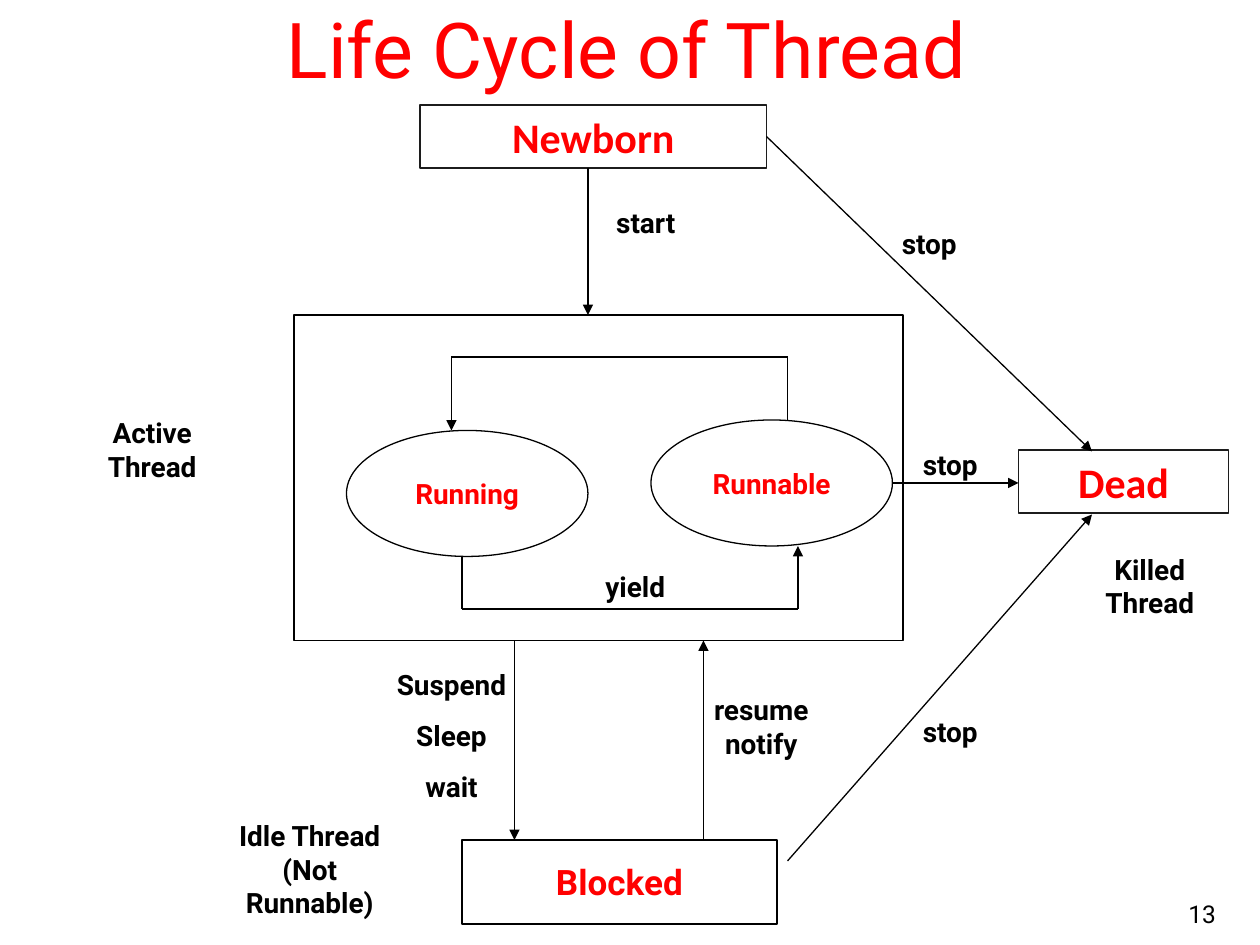
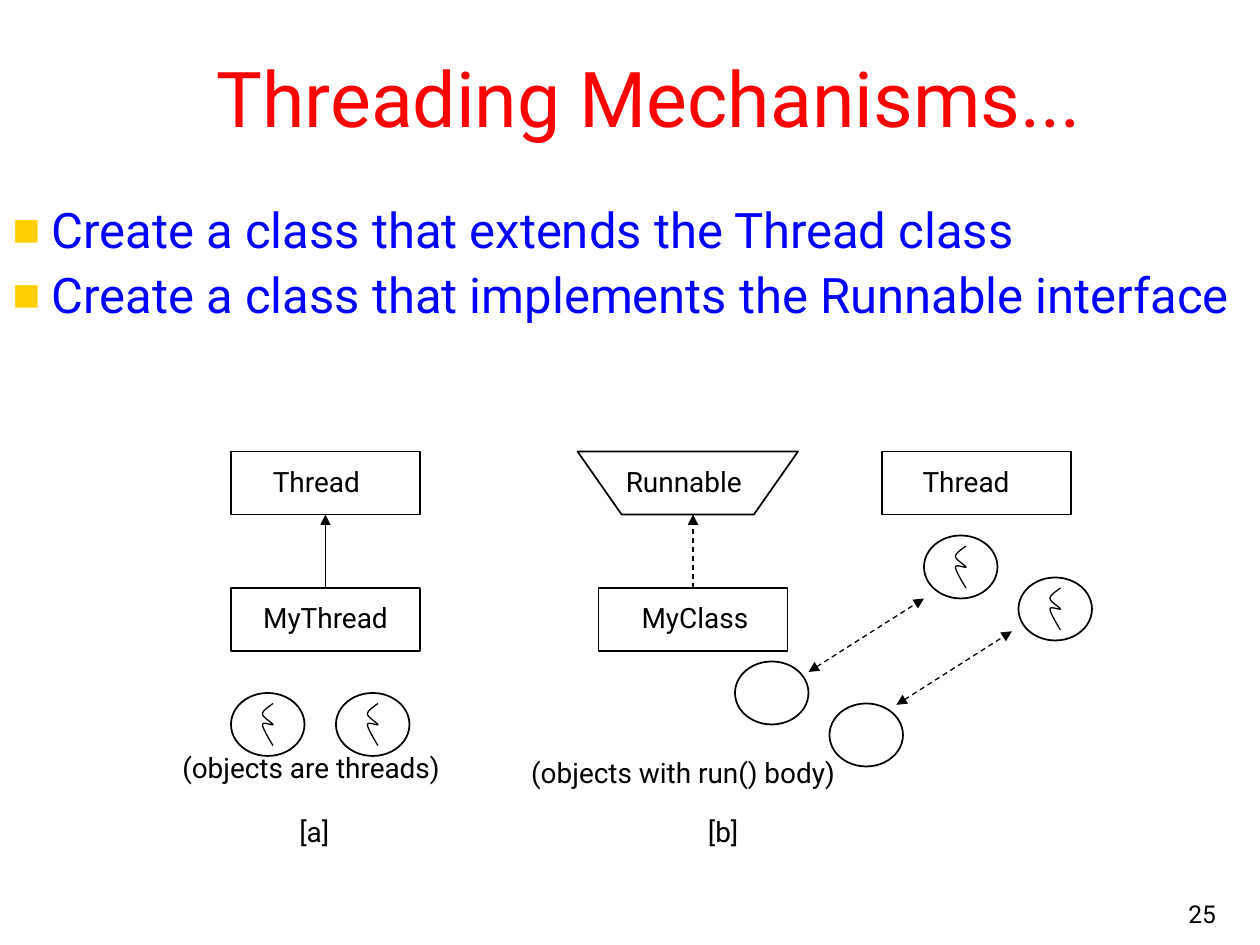
from lxml import etree
from pptx import Presentation
from pptx.dml.color import RGBColor
from pptx.enum.dml import MSO_LINE
from pptx.enum.shapes import MSO_CONNECTOR, MSO_SHAPE
from pptx.enum.text import MSO_ANCHOR, MSO_AUTO_SIZE, PP_ALIGN
from pptx.oxml.ns import qn
from pptx.util import Pt

PX = 9525  # EMU in one px, 96 px to the inch
RECT, OVAL = MSO_SHAPE.RECTANGLE, MSO_SHAPE.OVAL
TRAPEZOID = MSO_SHAPE.FLOWCHART_MANUAL_OPERATION
STRAIGHT, DASH = MSO_CONNECTOR.STRAIGHT, MSO_LINE.DASH
TOP, MIDDLE, BOTTOM = MSO_ANCHOR.TOP, MSO_ANCHOR.MIDDLE, MSO_ANCHOR.BOTTOM
CENTER, RIGHT = PP_ALIGN.CENTER, PP_ALIGN.RIGHT
NO_FIT = MSO_AUTO_SIZE.NONE

RED = RGBColor(0xFF, 0x00, 0x00)
BLUE = RGBColor(0x00, 0x00, 0xFF)
BLACK = RGBColor(0x00, 0x00, 0x00)
CHARCOAL = RGBColor(0x1C, 0x1C, 0x1C)
WHITE = RGBColor(0xFF, 0xFF, 0xFF)
BULLET_GOLD = "FFCF01"
FONT, STATE_FONT = "Roboto", "Calibri"

# Content: life cycle (boxes are left, top, width, height)
ACTIVE_FRAME = (224, 240, 464, 248)
STATES = [  # name, shape, box, size, font, outline
    ("Newborn", RECT, (320, 80, 264, 48), 24, STATE_FONT, CHARCOAL),
    ("Dead", RECT, (776, 343, 160, 48), 24, STATE_FONT, CHARCOAL),
    ("Runnable", OVAL, (496, 320, 184, 96), 16, FONT, BLACK),
    ("Running", OVAL, (264, 328, 184, 96), 16, FONT, BLACK),
    ("Blocked", RECT, (352, 640, 240, 64), 20, FONT, BLACK),
]
TRANSITIONS = [
    [(600, 320), (600, 272), (344, 272), (344, 328)],
    [(352, 424), (352, 464), (608, 464), (608, 416)],
    [(448, 128), (448, 240)],
    [(584, 104), (832, 344)],
    [(600, 656), (832, 392)],
    [(392, 488), (392, 640)],
    [(536, 640), (536, 488)],
    [(680, 368), (776, 368)],
]
TRANSITION_LABELS = [
    ("start", (440, 152, 104, 35)),
    ("stop", (656, 168, 104, 35)),
    ("stop", (672, 336, 104, 35)),
    ("stop", (672, 540, 104, 35)),
    ("yield", (432, 429, 104, 35)),
    ("Killed Thread", (824, 416, 104, 61)),
    ("Active Thread", (64, 312, 104, 61)),
    ("Idle Thread (Not Runnable)", (160, 619, 152, 86)),
    ("resume notify", (528, 523, 104, 61)),
    ("Suspend\nSleep\nwait", (272, 504, 144, 113)),
]

# Content: threading mechanisms
MECHANISMS = [
    "Create a class that extends the Thread class",
    "Create a class that implements the Runnable interface",
]
PARENT_TOP, CHILD_TOP = 344, 448
CLASSES = [  # name, shape, left, top, width, label left, label width
    ("Thread", RECT, 176, PARENT_TOP, 144, 196, 90),
    ("MyThread", RECT, 176, CHILD_TOP, 144, 188, 120),
    ("Runnable", TRAPEZOID, 440, PARENT_TOP, 168, 464, 114),
    ("MyClass", RECT, 456, CHILD_TOP, 144, 479, 101),
    ("Thread", RECT, 672, PARENT_TOP, 144, 691, 90),
]
CLASS_HEIGHT = 48
THREAD_OBJECTS = [(176, 528), (256, 528), (704, 408), (776, 440)]
RUN_OBJECTS = [(560, 504), (632, 536)]
OBJECT_SIZE = (56, 48)
SQUIGGLE_OFFSET = (24, 8)
SQUIGGLE = [  # Bezier segments
    ((8, 0), (4, 3), (0, 5.5), (0, 8)),
    ((0, 8), (0, 10.5), (8, 15), (8, 16)),
    ((8, 16), (8, 17), (0, 13.5), (0, 16)),
    ((0, 16), (0, 18.5), (4, 25.5), (8, 32)),
]
OBJECT_LINKS = [[(616, 512), (704, 456)], [(683, 537), (771, 481)]]
CAPTIONS = [
    ("(objects are threads)", (125, 567, 224, 35)),
    ("(objects with run() body)", (390, 571, 261, 35)),
    ("[a]", (217, 616, 45, 35)),
    ("[b]", (528, 616, 46, 35)),
]


def emu(lengths):
    return [round(length * PX) for length in lengths]


def write(shape, text, size, color=BLACK, font=FONT, bold=False, align=CENTER,
          anchor=TOP, wrap=True, before=0, spacing=None):
    frame = shape.text_frame
    frame.text = text
    frame.word_wrap = wrap
    frame.auto_size = NO_FIT
    frame.vertical_anchor = anchor
    for paragraph in frame.paragraphs:
        paragraph.alignment = align
        paragraph.space_before = Pt(before)
        paragraph.line_spacing = spacing
        for run in paragraph.runs:
            run.font.size = Pt(size)
            run.font.name = font
            run.font.bold = bold
            run.font.color.rgb = color


def place(placeholder, box):
    placeholder.left, placeholder.top, placeholder.width, placeholder.height = emu(box)


def add_label(slide, text, box, size=16, **style):
    write(slide.shapes.add_textbox(*emu(box)), text, size, **style)


def outline(shape, color=BLACK, width=1.0):
    shape.shadow.inherit = False
    shape.fill.background()
    shape.line.color.rgb = color
    shape.line.width = Pt(width)


def add_outline(slide, kind, box, color=BLACK, width=1.0):
    shape = slide.shapes.add_shape(kind, *emu(box))
    outline(shape, color, width)
    return shape


def add_route(slide, points, dashed=False, both_ends=False):
    """Join the points with lines and put an arrowhead on the last one."""
    for start, end in zip(points, points[1:]):
        leg = slide.shapes.add_connector(STRAIGHT, *emu(start + end))
        leg.line.color.rgb = BLACK
        leg.line.width = Pt(0.75)
        if dashed:
            leg.line.dash_style = DASH
        ends = ["a:headEnd"] if both_ends else []
        if end == points[-1]:
            ends.append("a:tailEnd")
        for tag in ends:
            etree.SubElement(leg.line._get_or_add_ln(), qn(tag), type="triangle")
        etree.SubElement(leg._element.spPr, qn("a:effectLst"))


def bezier(segment, t):
    weights = ((1 - t) ** 3, 3 * t * (1 - t) ** 2, 3 * t ** 2 * (1 - t), t ** 3)
    return [sum(w * point[axis] for w, point in zip(weights, segment)) for axis in (0, 1)]


def add_squiggle(slide, left, top, steps=8):
    points = [emu(bezier(segment, step / steps))
              for segment in SQUIGGLE for step in range(1, steps + 1)]
    builder = slide.shapes.build_freeform(*emu(SQUIGGLE[0][0]))
    builder.add_line_segments(points, close=False)
    outline(builder.convert_to_shape(*emu((left, top))), width=0.75)


def add_bullets(paragraph):
    props = paragraph._p.get_or_add_pPr()
    props.set("marL", str(30 * PX))
    props.set("indent", str(-30 * PX))
    color = etree.SubElement(props, qn("a:buClr"))
    etree.SubElement(color, qn("a:srgbClr"), val=BULLET_GOLD)
    etree.SubElement(props, qn("a:buSzPct"), val="60000")
    etree.SubElement(props, qn("a:buFont"), typeface=FONT)
    etree.SubElement(props, qn("a:buChar"), char="■")


def add_slide(prs, layout, title, title_box, number, spacing=None):
    slide = prs.slides.add_slide(prs.slide_layouts[layout])
    place(slide.shapes.title, title_box)
    write(slide.shapes.title, title, 44, RED, anchor=MIDDLE, spacing=spacing)
    add_label(slide, number, (736, 664, 200, 48), 14, align=RIGHT, anchor=BOTTOM)
    return slide


def build_life_cycle(prs):
    slide = add_slide(prs, 5, "Life Cycle of Thread", (16, -16, 923, 104), "13")
    frame = add_outline(slide, RECT, ACTIVE_FRAME, width=0.75)
    frame.fill.solid()
    frame.fill.fore_color.rgb = WHITE
    for name, kind, box, size, font, color in STATES:
        state = add_outline(slide, kind, box, color, 0.75)
        write(state, name, size, RED, font, bold=True, anchor=MIDDLE, wrap=False)
    for points in TRANSITIONS:
        add_route(slide, points)
    for text, box in TRANSITION_LABELS:
        add_label(slide, text, box, bold=True, before=10)


def build_mechanisms(prs):
    slide = add_slide(prs, 1, "Threading Mechanisms...", (112, 22, 766, 112), "25", 0.9)

    # Bulleted list
    mechanisms = slide.placeholders[1]
    place(mechanisms, (0, 152, 956, 192))
    write(mechanisms, "\n".join(MECHANISMS), 28, BLUE, align=None, before=7, spacing=0.9)
    for paragraph in mechanisms.text_frame.paragraphs:
        add_bullets(paragraph)

    # Classes and inheritance
    for name, kind, left, top, width, label_left, label_width in CLASSES:
        add_outline(slide, kind, (left, top, width, CLASS_HEIGHT))
        add_label(slide, name, (label_left, top + 5, label_width, 35), wrap=False)
    for x, dashed in ((248, False), (528, True)):
        add_route(slide, [(x, CHILD_TOP), (x, PARENT_TOP + CLASS_HEIGHT)], dashed)

    # Objects and the links between them
    for corner in THREAD_OBJECTS + RUN_OBJECTS:
        add_outline(slide, OVAL, corner + OBJECT_SIZE)
    for left, top in THREAD_OBJECTS:
        add_squiggle(slide, left + SQUIGGLE_OFFSET[0], top + SQUIGGLE_OFFSET[1])
    for points in OBJECT_LINKS:
        add_route(slide, points, dashed=True, both_ends=True)
    for text, box in CAPTIONS:
        add_label(slide, text, box, wrap=False)


def main():
    prs = Presentation()
    prs.slide_width, prs.slide_height = emu((960, 720))
    build_life_cycle(prs)
    build_mechanisms(prs)
    prs.save("out.pptx")


if __name__ == "__main__":
    main()
